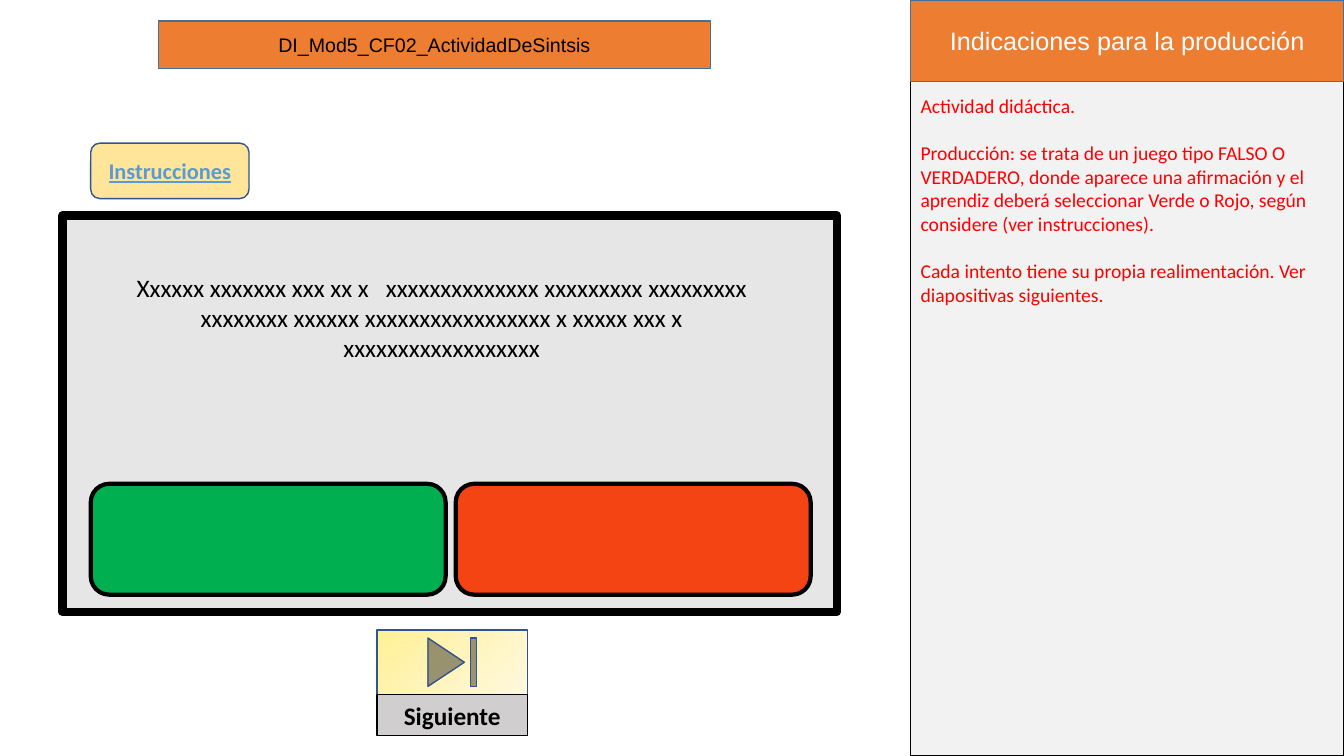
from copy import deepcopy
from dataclasses import dataclass

from pptx import Presentation
from pptx.dml.color import RGBColor
from pptx.enum.shapes import MSO_SHAPE
from pptx.enum.text import MSO_ANCHOR, MSO_AUTO_SIZE, PP_ALIGN
from pptx.oxml.ns import qn
from pptx.util import Inches, Pt

RECTANGLE = MSO_SHAPE.RECTANGLE
ROUNDED = MSO_SHAPE.ROUNDED_RECTANGLE
NEXT_BUTTON = MSO_SHAPE.ACTION_BUTTON_END
LEFT, CENTER = PP_ALIGN.LEFT, PP_ALIGN.CENTER
TOP, MIDDLE = MSO_ANCHOR.TOP, MSO_ANCHOR.MIDDLE
NO_AUTOFIT = MSO_AUTO_SIZE.NONE


@dataclass(frozen=True)
class Theme:
    heading_font: str = "Arial"
    body_font: str = "Calibri"
    small: int = 14
    medium: int = 16
    large: int = 18
    black: str = "000000"
    white: str = "FFFFFF"
    orange: str = "ED7D31"
    steel: str = "42719B"
    navy: str = "31538F"
    panel: str = "F2F2F2"
    board: str = "E7E6E6"
    label: str = "D0CECE"
    cream: str = "FEE599"
    link: str = "5B9BD5"
    note: str = "FF0000"
    true_green: str = "00B050"
    false_red: str = "F44414"
    button: tuple = ((0, "FFF194"), (0.5, "FFF4BC"), (1, "FFF9DE"))


theme = Theme()


def style_box(box, fill, line, width=1):
    if fill:
        box.fill.solid()
        box.fill.fore_color.rgb = RGBColor.from_string(fill)
    box.line.color.rgb = RGBColor.from_string(line)
    box.line.width = Pt(width)
    return box


def write(box, text, *, size, color, font=theme.body_font, bold=False,
          underline=False, align=CENTER, anchor=MIDDLE, gap=0):
    frame = box.text_frame
    frame.word_wrap = True
    frame.auto_size = NO_AUTOFIT
    frame.vertical_anchor = anchor
    frame.text = text
    for para in frame.paragraphs:
        para.alignment = align
        para.space_before = Pt(0)
        para.space_after = Pt(gap)
        for span in para.runs:
            span.font.name = font
            span.font.size = Pt(size)
            span.font.bold = bold
            span.font.underline = underline
            span.font.color.rgb = RGBColor.from_string(color)


deck = Presentation()
deck.slide_width, deck.slide_height = Inches(13.33), Inches(7.5)
page = deck.slides.add_slide(deck.slide_layouts[1])
title, notes = page.placeholders

# Title bar
title.left, title.top = Inches(1.57), Inches(0.21)
title.width, title.height = Inches(5.48), Inches(0.47)
style_box(title, theme.orange, theme.steel)
write(title, "DI_Mod5_CF02_ActividadDeSintsis", size=theme.small,
      color=theme.black, font=theme.heading_font)

# Plain shapes, back to front: kind, place, fill, line, line width
shapes = {}
for name, kind, place, fill, line, width in (
    ("panel", RECTANGLE, (9.03, 0, 4.3, 7.5), theme.panel, theme.black, 1),
    ("heading", RECTANGLE, (9.03, 0, 4.3, 0.81), theme.orange, theme.steel, 1),
    ("instructions", ROUNDED, (0.9, 1.42, 1.57, 0.55), theme.cream, theme.navy, 1),
    ("board", RECTANGLE, (0.62, 2.14, 7.68, 3.93), theme.board, theme.black, 6),
    ("true", ROUNDED, (0.9, 4.8, 3.52, 1.1), theme.true_green, theme.black, 3),
    ("false", ROUNDED, (4.52, 4.8, 3.52, 1.1), theme.false_red, theme.black, 3),
    ("next", NEXT_BUTTON, (3.74, 6.25, 1.49, 0.64), None, theme.navy, 1),
    ("next label", RECTANGLE, (3.74, 6.89, 1.49, 0.41), theme.label, theme.black, 1),
):
    box = page.shapes.add_shape(kind, *map(Inches, place))
    box.shadow.inherit = False
    shapes[name] = style_box(box, fill, line, width)

# Gradient of the next button: one more stop than the default two
button_fill = shapes["next"].fill
button_fill.gradient()
button_fill.gradient_angle = 315
last_stop = list(shapes["next"].element.iter(qn("a:gs")))[-1]
last_stop.addnext(deepcopy(last_stop))
for stop, (position, color) in zip(button_fill.gradient_stops, theme.button):
    stop.position = position
    stop.color.rgb = RGBColor.from_string(color)

# Labels
write(shapes["heading"], "Indicaciones para la producción", size=theme.large,
      color=theme.white, font=theme.heading_font)
write(shapes["instructions"], "Instrucciones", size=theme.medium,
      color=theme.link, bold=True, underline=True)
write(shapes["next label"], "Siguiente", size=theme.large,
      color=theme.black, bold=True)

# Statement to judge
statement = page.shapes.add_textbox(*map(Inches, (1.14, 2.65, 6.48, 1.01)))
write(statement,
      "Xxxxxx xxxxxxx xxx xx x   xxxxxxxxxxxxxx xxxxxxxxx xxxxxxxxx "
      "xxxxxxxx xxxxxx xxxxxxxxxxxxxxxxx x xxxxx xxx x xxxxxxxxxxxxxxxxxx",
      size=theme.large, color=theme.black, anchor=TOP)

# Production notes, in front of the panel and without bullets
notes.left, notes.top = Inches(9.03), Inches(0.88)
notes.width, notes.height = Inches(4.3), Inches(2.22)
write(notes, "\n".join((
    "Actividad didáctica.",
    "Producción: se trata de un juego tipo FALSO O VERDADERO, donde aparece "
    "una afirmación y el aprendiz deberá seleccionar Verde o Rojo, según "
    "considere (ver instrucciones).",
    "Cada intento tiene su propia realimentación. Ver diapositivas siguientes.",
)), size=theme.small, color=theme.note, align=LEFT, anchor=TOP, gap=17)
for properties in notes.element.iter(qn("a:pPr")):
    properties.set("marL", "0")
    properties.set("indent", "0")
    properties.append(properties.makeelement(qn("a:buNone"), {}))
shapes["heading"].element.addnext(notes.element)

deck.save("out.pptx")
